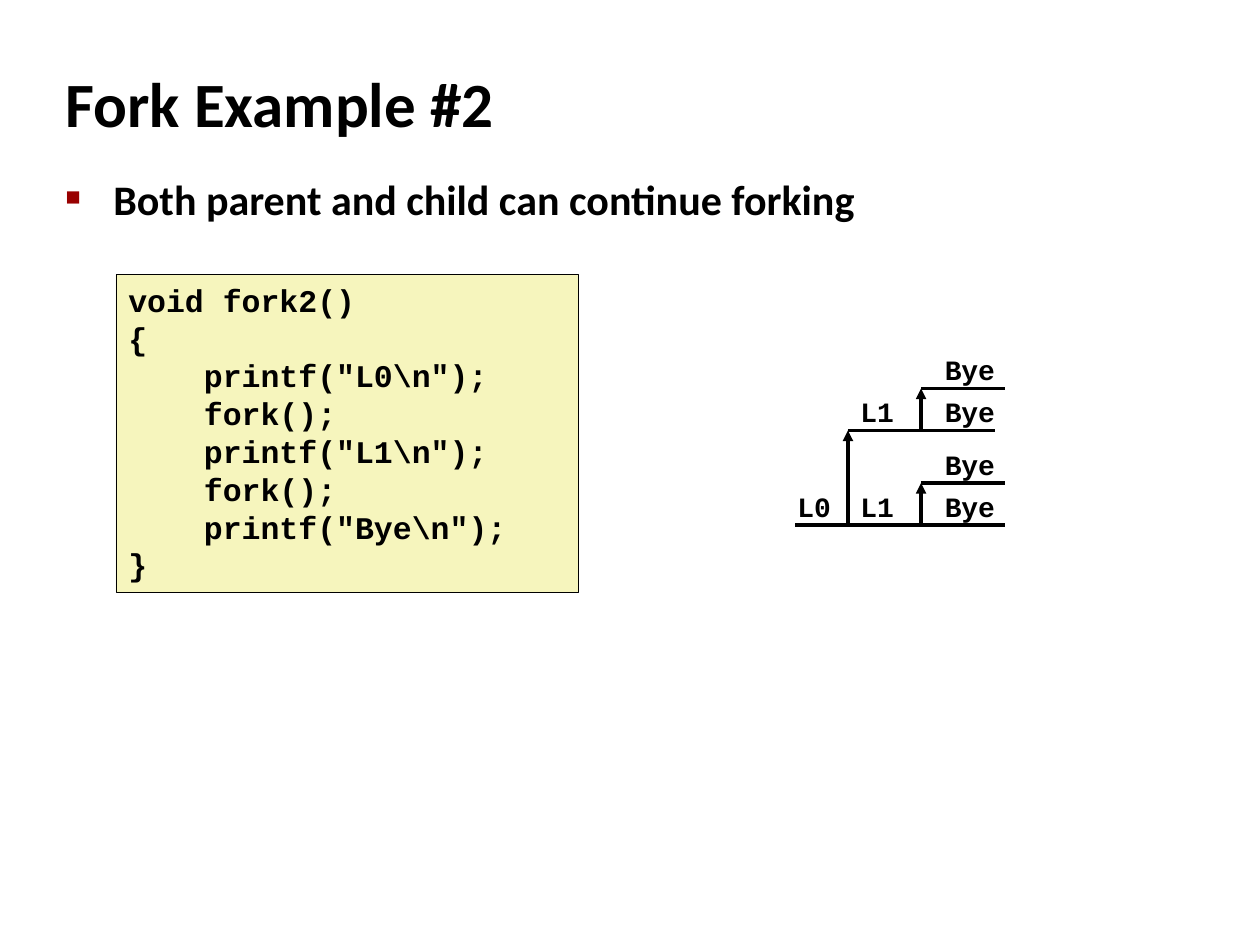
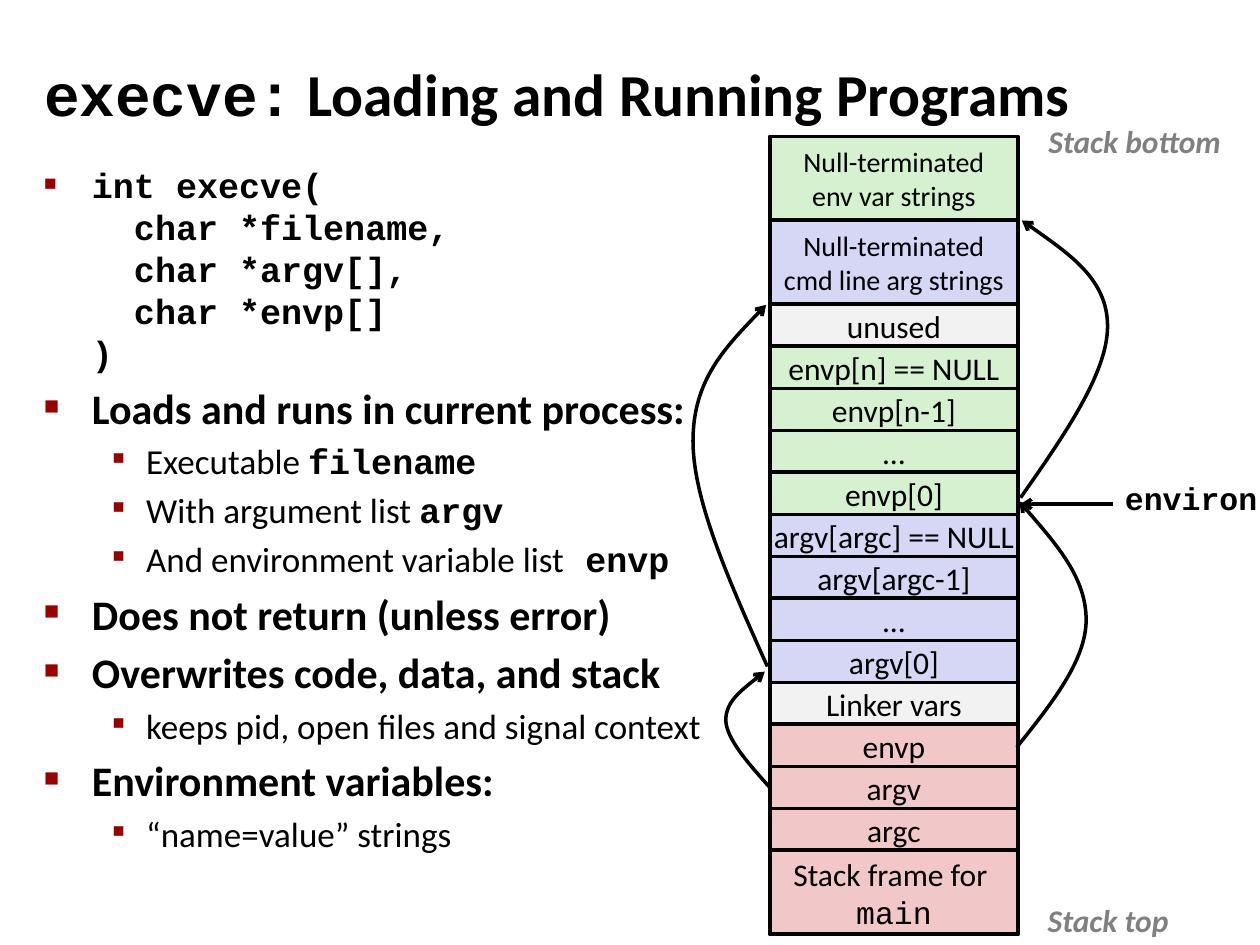
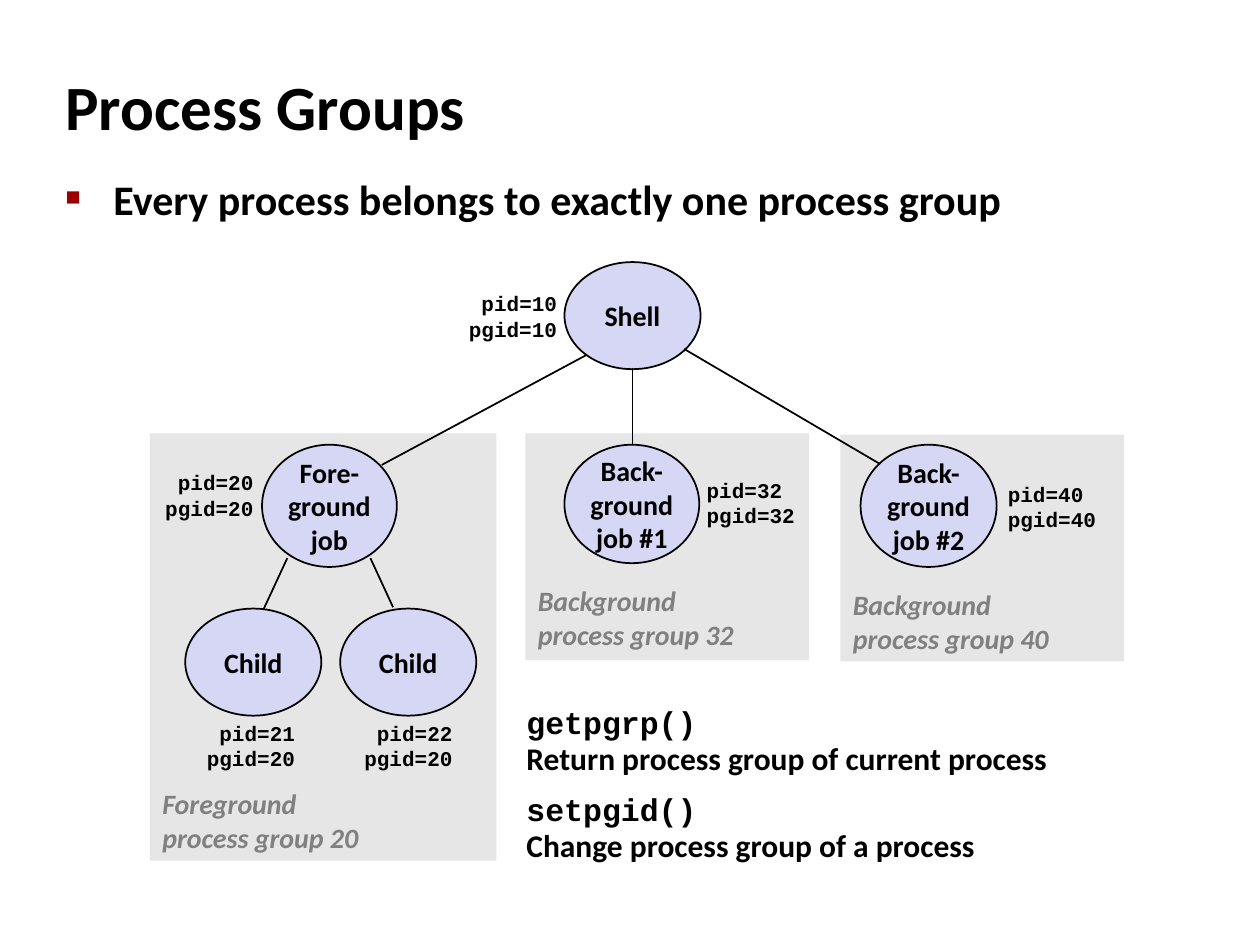
from itertools import pairwise

from lxml.etree import SubElement
from pptx import Presentation
from pptx.dml.color import RGBColor
from pptx.enum.shapes import MSO_CONNECTOR as CONNECTOR, MSO_SHAPE as SHAPE
from pptx.enum.text import MSO_ANCHOR as ANCHOR, MSO_AUTO_SIZE as AUTO_SIZE, PP_ALIGN as ALIGN
from pptx.oxml.ns import qn
from pptx.util import Inches, Pt

COLORS = {
    "black": "000000", "bullet": "990000", "caption": "808080", "code": "F6F5BD",
    "environment": "D5F1CF", "arguments": "D6D6F5", "neutral": "F2F2F2",
    "frame": "F1C7C7", "process": "D6D6F5", "group": "E6E6E6",
}
SANS, MONO = "Calibri", "Courier New"
CODE = {"font": MONO, "bold": True}
BULLETS = [
    {"margin": 0.38, "hang": 0.38, "char": "■", "percent": 60, "size": 24, "bold": True},
    {"margin": 0.81, "hang": 0.31, "char": "▪", "percent": 110, "size": 20, "bold": False},
]
GRID = 1 / 12

FORK_CODE = [
    "void fork2()", "{", '    printf("L0\\n");', "    fork();",
    '    printf("L1\\n");', "    fork();", '    printf("Bye\\n");', "}",
]
FORK_ROWS = [
    (50, [6.31, 6.73, 7.31, 7.98]),
    (46, [7.31, 7.98]),
    (41, [6.73, 7.31, 7.9]),
    (37, [7.31, 7.98]),
]
FORK_LABELS = {6.31: ("L0", 6.23, 0.47), 6.73: ("L1", 6.73, 0.47), 7.31: ("Bye", 7.4, 0.6)}
FORK_ARROWS = [(6.73, 50, 41), (7.31, 50, 46), (7.31, 41, 37)]

EXECVE_SIGNATURE = "int execve(\n  char *filename,\n  char *argv[],\n  char *envp[]\n)"
EXECVE_POINTS = [
    (0, [(EXECVE_SIGNATURE, {"font": MONO, "size": 20})]),
    (0, "Loads and runs in current process:"),
    (1, [("Executable ", {}), ("filename", CODE)]),
    (1, [("With argument list ", {}), ("argv", CODE)]),
    (1, [("And environment variable list", {}), (" envp", CODE)]),
    (0, "Does not return (unless error)"),
    (0, "Overwrites code, data, and stack"),
    (1, "keeps pid, open files and signal context"),
    (0, "Environment variables:"),
    (1, "“name=value” strings"),
]
STACK = [
    ("environment", 2, 16, ["Null-terminated", "env var strings"]),
    ("arguments", 2, 16, ["Null-terminated", "cmd line arg strings"]),
    ("neutral", 1, 18, ["unused"]),
    ("environment", 1, 18, ["envp[n] == NULL"]),
    ("environment", 1, 18, ["envp[n-1]"]),
    ("environment", 1, 18, ["…"]),
    ("environment", 1, 18, ["envp[0]"]),
    ("arguments", 1, 18, ["argv[argc] == NULL"]),
    ("arguments", 1, 18, ["argv[argc-1]"]),
    ("arguments", 1, 18, ["…"]),
    ("arguments", 1, 18, ["argv[0]"]),
    ("neutral", 1, 18, ["Linker vars"]),
    ("frame", 1, 18, ["envp"]),
    ("frame", 1, 18, ["argv"]),
    ("frame", 1, 18, ["argc"]),
    ("frame", 2, 18, ["Stack frame for ", [("main", {"font": MONO})]]),
]
POINTERS = [
    [(6.11, 6.25), (5.94, 6.06), (5.77, 5.87), (5.76, 5.72),
     (5.76, 5.57), (5.92, 5.45), (6.07, 5.33)],
    [(6.09, 5.29), (5.8, 4.64), (5.5, 3.98), (5.5, 3.5),
     (5.5, 3.02), (5.79, 2.72), (6.08, 2.42)],
    [(8.07, 5.93), (8.35, 5.58), (8.62, 5.24), (8.62, 4.92),
     (8.62, 4.59), (8.36, 4.29), (8.09, 3.98)],
    [(8.1, 3.95), (8.45, 3.45), (8.79, 2.96), (8.79, 2.59),
     (8.79, 2.22), (8.45, 1.99), (8.11, 1.75)],
]
STACK_ENDS = [("Stack bottom", (8.18, 0.92, 1.65, 0.4)), ("Stack top", (8.18, 7.1, 1.23, 0.4))]

GROUPS = [
    ("Foreground", 20, (1.19, 3.44, 2.75, 3.39), 6.19),
    ("Background", 32, (4.17, 3.44, 2.25, 1.8), 4.58),
    ("Background", 40, (6.67, 3.45, 2.25, 1.8), 4.61),
]
PROCESSES = [
    (["Shell"], (4.48, 2.08, 1.08, 0.85), 10, 10, (3.61, 2.26), ALIGN.RIGHT),
    (["Fore-", "ground", "job"], (2.08, 3.53, 1.07, 0.97), 20, 20, (1.2, 3.68), ALIGN.RIGHT),
    (["Back-", "ground", "job #1"], (4.48, 3.53, 1.07, 0.94), 32, 32, (5.51, 3.74), ALIGN.LEFT),
    (["Back-", "ground", "job #2"], (6.83, 3.53, 1.08, 0.97), 40, 40, (7.9, 3.77), ALIGN.LEFT),
    (["Child"], (1.47, 4.83, 1.08, 0.85), 21, 20, (1.53, 5.67), ALIGN.RIGHT),
    (["Child"], (2.7, 4.83, 1.08, 0.85), 22, 20, (2.78, 5.67), ALIGN.RIGHT),
]
FAMILY_LINES = [
    ((2.28, 4.43), (2.09, 4.84)), ((2.94, 4.43), (3.12, 4.82)), ((5.02, 2.92), (5.02, 3.53)),
    ((4.65, 2.82), (3.03, 3.69)), ((5.43, 2.77), (6.98, 3.68)),
]
GROUP_CALLS = [
    [("getpgrp()\n", {"font": MONO}), ("Return process group of current process", {})],
    [("setpgid()\n", {"font": MONO}), ("Change process group of a process", {})],
]


def color(name):
    return RGBColor.from_string(COLORS[name])


def write_run(paragraph, text, font=SANS, size=18, bold=False, italic=False, ink="black"):
    for index, line in enumerate(text.split("\n")):
        if index:
            paragraph.add_line_break()
        if line:
            run = paragraph.add_run()
            run.text = line
            run.font.name = font
            run.font.size = Pt(size)
            run.font.bold = bold
            run.font.italic = italic
            run.font.color.rgb = color(ink)


def write_paragraph(paragraph, content, align=ALIGN.LEFT, **style):
    paragraph.alignment = align
    runs = [(content, {})] if isinstance(content, str) else content
    for text, changes in runs:
        write_run(paragraph, text, **(style | changes))


def write_text(frame, paragraphs, anchor=ANCHOR.TOP, wrap=False, space_before=0,
               line_spacing=None, **style):
    frame.word_wrap = wrap
    frame.auto_size = AUTO_SIZE.NONE
    frame.vertical_anchor = anchor
    for index, content in enumerate(paragraphs):
        paragraph = frame.add_paragraph() if index else frame.paragraphs[0]
        paragraph.line_spacing = line_spacing
        if index and space_before:
            paragraph.space_before = Pt(space_before)
        write_paragraph(paragraph, content, **style)


def place(shape, box):
    shape.left, shape.top, shape.width, shape.height = map(Inches, box)


def add_text(slide, box, paragraphs, **style):
    text_box = slide.shapes.add_textbox(*map(Inches, box))
    write_text(text_box.text_frame, paragraphs, **style)
    return text_box


def add_block(slide, kind, box, fill, paragraphs=(), line=None, **style):
    shape = slide.shapes.add_shape(kind, *map(Inches, box))
    shape.shadow.inherit = False
    shape.fill.solid()
    shape.fill.fore_color.rgb = color(fill)
    if line:
        shape.line.color.rgb = color("black")
        shape.line.width = Pt(line)
    else:
        shape.line.fill.background()
    write_text(shape.text_frame, paragraphs, **style)


def style_line(shape, width, head):
    shape.line.color.rgb = color("black")
    shape.line.width = Pt(width)
    if head:
        outline = shape._element.spPr.find(qn("a:ln"))
        SubElement(outline, qn("a:tailEnd"), type=head)


def add_line(slide, start, end, width=2, head=None):
    connector = slide.shapes.add_connector(CONNECTOR.STRAIGHT, *map(Inches, start + end))
    style_line(connector, width, head)
    SubElement(connector._element.spPr, qn("a:effectLst"))


def add_pointer(slide, points):
    start, *rest = [tuple(map(Inches, point)) for point in points]
    builder = slide.shapes.build_freeform(*start)
    builder.add_line_segments(rest, close=False)
    shape = builder.convert_to_shape()
    segments = list(shape._element.spPr.iter(qn("a:lnTo")))
    outline = segments[0].getparent()
    for first in range(0, len(segments), 3):
        curve = SubElement(outline, qn("a:cubicBezTo"))
        for segment in segments[first:first + 3]:
            curve.append(segment[0])
            outline.remove(segment)
    shape.shadow.inherit = False
    shape.fill.background()
    style_line(shape, 2, "arrow")


def add_bullet(paragraph, margin, hang, char, percent):
    properties = paragraph._p.get_or_add_pPr()
    properties.set("marL", str(Inches(margin)))
    properties.set("indent", str(-Inches(hang)))
    bullet_color = SubElement(properties, qn("a:buClr"))
    SubElement(bullet_color, qn("a:srgbClr"), val=COLORS["bullet"])
    SubElement(properties, qn("a:buSzPct"), val=str(percent * 1000))
    SubElement(properties, qn("a:buFont"), typeface=MONO)
    SubElement(properties, qn("a:buChar"), char=char)


def add_slide(presentation, title, title_box, points, body_box, title_size=36):
    slide = presentation.slides.add_slide(presentation.slide_layouts[1])
    place(slide.shapes.title, title_box)
    write_text(slide.shapes.title.text_frame, [title], anchor=ANCHOR.MIDDLE, wrap=True,
               size=title_size, bold=True)
    body = slide.placeholders[1]
    place(body, body_box)
    frame = body.text_frame
    frame.word_wrap = True
    frame.auto_size = AUTO_SIZE.NONE
    for index, (level, content) in enumerate(points):
        paragraph = frame.add_paragraph() if index else frame.paragraphs[0]
        bullet = dict(BULLETS[level])
        style = {"size": bullet.pop("size"), "bold": bullet.pop("bold")}
        paragraph.level = level
        paragraph.space_before = Pt(0.2 * style["size"] if index else 0)
        add_bullet(paragraph, **bullet)
        write_paragraph(paragraph, content, **style)
    return slide


def build_fork(presentation):
    slide = add_slide(presentation, "Fork Example #2", (0.42, 0.5, 5.57, 0.63),
                      [(0, "Both parent and child can continue forking")],
                      (0.42, 1.33, 8.64, 0.84))
    add_block(slide, SHAPE.RECTANGLE, (0.92, 2.18, 3.67, 2.52), "code", FORK_CODE,
              line=0.25, **CODE)
    for row, stops in FORK_ROWS:
        y = row * GRID
        for start, end in pairwise(stops):
            add_line(slide, (start, y), (end, y))
            label, left, width = FORK_LABELS[start]
            add_text(slide, (left, y - 4 * GRID, width, 0.37), [label], size=16, **CODE)
    for x, bottom, top in FORK_ARROWS:
        add_line(slide, (x, bottom * GRID), (x, top * GRID), head="triangle")


def build_execve(presentation):
    title = [("execve:", {"font": MONO}), (" Loading and Running Programs", {})]
    slide = add_slide(presentation, title, (0.25, 0.42, 9.42, 0.63),
                      EXECVE_POINTS, (0.25, 1.25, 5.83, 5.92), title_size=34)
    top = 13 * GRID
    for fill, units, size, lines in STACK:
        height = units * 4 * GRID
        add_block(slide, SHAPE.RECTANGLE, (6.11, top, 1.97, height), fill, lines,
                  line=2.25, anchor=ANCHOR.MIDDLE, align=ALIGN.CENTER, size=size)
        top += height
    for points in POINTERS:
        add_pointer(slide, points)
    for text, box in STACK_ENDS:
        add_text(slide, box, [text], align=ALIGN.CENTER, bold=True, italic=True, ink="caption")
    environ = add_text(slide, (8.83, 3.75, 1.17, 0.4), ["environ"], **CODE)
    environ.text_frame.margin_right = 0
    add_line(slide, (8.83, 4), (8.1, 4), head="arrow")


def build_groups(presentation):
    slide = add_slide(presentation, "Process Groups", (0.42, 0.42, 8.3, 0.83),
                      [(0, "Every process belongs to exactly one process group")],
                      (0.42, 1.33, 8.44, 0.67))
    for kind, number, box, caption_top in GROUPS:
        add_block(slide, SHAPE.RECTANGLE, box, "group")
        add_text(slide, (box[0], caption_top, 1.78, 0.64), [kind, f"process group {number}"],
                 anchor=ANCHOR.MIDDLE, size=16, bold=True, italic=True, ink="caption")
    for lines, box, pid, pgid, position, align in PROCESSES:
        add_block(slide, SHAPE.OVAL, box, "process", lines, line=1, anchor=ANCHOR.MIDDLE,
                  align=ALIGN.CENTER, size=16, bold=True)
        add_text(slide, position + (0.91, 0.5), [f"pid={pid}", f"pgid={pgid}"],
                 anchor=ANCHOR.MIDDLE, align=align, size=12, **CODE)
    for start, end in FAMILY_LINES:
        add_line(slide, start, end, width=1)
    add_text(slide, (4.08, 5.55, 4.5, 1.5), GROUP_CALLS, wrap=True, space_before=9,
             line_spacing=0.95, bold=True)


def main():
    presentation = Presentation()
    presentation.slide_width, presentation.slide_height = Inches(10), Inches(7.5)
    build_fork(presentation)
    build_execve(presentation)
    build_groups(presentation)
    presentation.save("out.pptx")


if __name__ == "__main__":
    main()
